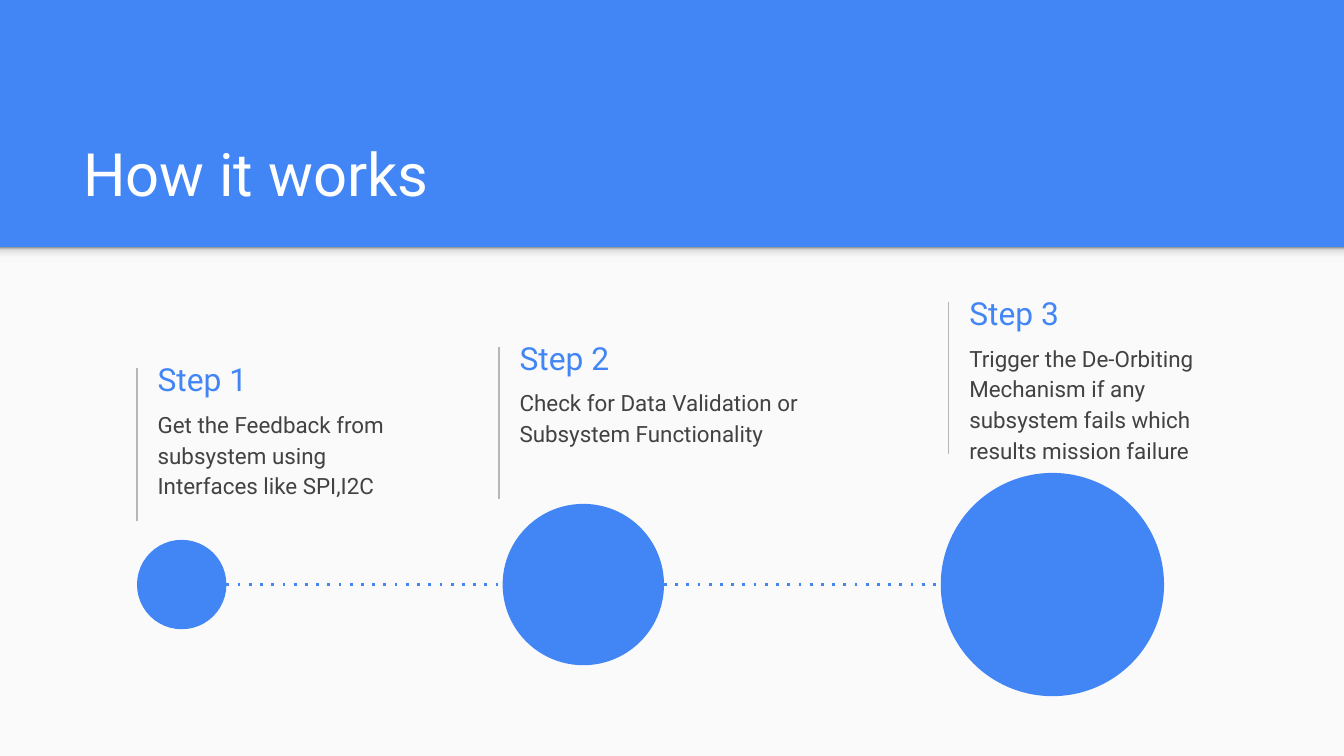
from dataclasses import dataclass

from lxml import etree
from pptx import Presentation
from pptx.dml.color import RGBColor
from pptx.enum.shapes import MSO_CONNECTOR, MSO_SHAPE
from pptx.enum.text import MSO_ANCHOR, MSO_AUTO_SIZE, PP_ALIGN
from pptx.oxml.ns import qn
from pptx.util import Cm, Pt

RECTANGLE, OVAL = MSO_SHAPE.RECTANGLE, MSO_SHAPE.OVAL
STRAIGHT = MSO_CONNECTOR.STRAIGHT
TOP, MIDDLE, BOTTOM = MSO_ANCHOR.TOP, MSO_ANCHOR.MIDDLE, MSO_ANCHOR.BOTTOM
LEFT = PP_ALIGN.LEFT
NO_AUTOFIT = MSO_AUTO_SIZE.NONE
TITLE_ONLY = 5

SLIDE_WIDTH, SLIDE_HEIGHT = 25.4, 14.29
PANEL_TOP = 4.67
RULE_LENGTH = 2.88
HEADING_WIDTH = 5.03
TIMELINE_Y = 11.05


@dataclass(frozen=True)
class Theme:
    font: str = "Roboto"
    accent: str = "4285F4"
    panel: str = "FAFAFA"
    title: str = "FFFFFF"
    body: str = "424242"
    rule: str = "B7B7B7"
    shadow_stops: tuple = ((0, "F9F9F9"), (36, "F9F9F9"), (80, "DEDEDE"), (100, "999999"))
    title_size: float = 32
    heading_size: float = 17
    body_size: float = 12


@dataclass(frozen=True)
class Step:
    heading: str
    description: str
    rule_x: float
    rule_top: float
    description_width: float
    circle_left: float
    diameter: float


STEPS = (
    Step("Step 1", "Get the Feedback from subsystem using Interfaces like SPI,I2C",
         2.59, 6.96, 5.03, 2.59, 1.69),
    Step("Step 2", "Check for Data Validation or Subsystem Functionality",
         9.43, 6.55, 6.17, 9.5, 3.05),
    Step("Step 3", "Trigger the De-Orbiting Mechanism if any subsystem fails which "
         "results mission failure", 17.93, 5.71, 5.89, 17.78, 4.22),
)


class SlideBuilder:
    def __init__(self, slide, theme):
        self.slide = slide
        self.theme = theme

    def background(self, color):
        fill = self.slide.background.fill
        fill.solid()
        fill.fore_color.rgb = RGBColor.from_string(color)

    def shape(self, kind, left, top, width, height, color):
        shape = self.slide.shapes.add_shape(kind, Cm(left), Cm(top), Cm(width), Cm(height))
        shape.shadow.inherit = False
        shape.fill.solid()
        shape.fill.fore_color.rgb = RGBColor.from_string(color)
        shape.line.fill.background()
        return shape

    def panel_shadow(self, top, height):
        """Draw a strip that fades downwards from its dark top edge."""
        strip = self.shape(RECTANGLE, 0, top, SLIDE_WIDTH, height, self.theme.panel)
        strip.fill.gradient()
        strip.fill.gradient_angle = 90
        stops = next(strip.element.iter(qn("a:gsLst")))
        stops.clear()
        for percent, color in self.theme.shadow_stops:
            stop = etree.SubElement(stops, qn("a:gs"), pos=str(percent * 1000))
            etree.SubElement(stop, qn("a:srgbClr"), val=color)

    def line(self, start, end, color, weight, dash=None):
        connector = self.slide.shapes.add_connector(STRAIGHT, *map(Cm, start + end))
        connector.line.color.rgb = RGBColor.from_string(color)
        connector.line.width = Pt(weight)
        properties = connector.element.spPr
        if dash:
            etree.SubElement(properties.find(qn("a:ln")), qn("a:prstDash"), val=dash)
        etree.SubElement(properties, qn("a:effectLst"))

    def set_text(self, holder, text, size, color, anchor, spacing=1.0):
        frame = holder.text_frame
        frame.text = text
        frame.word_wrap = True
        frame.auto_size = NO_AUTOFIT
        frame.vertical_anchor = anchor
        frame.margin_left = frame.margin_right = Cm(0.25)
        frame.margin_top = frame.margin_bottom = Cm(0.25)
        paragraph = frame.paragraphs[0]
        paragraph.alignment = LEFT
        paragraph.line_spacing = spacing
        font = paragraph.runs[0].font
        font.name = self.theme.font
        font.size = Pt(size)
        font.color.rgb = RGBColor.from_string(color)

    def title(self, text, left, top, width, height):
        title = self.slide.shapes.title
        title.left, title.top, title.width, title.height = map(Cm, (left, top, width, height))
        self.set_text(title, text, self.theme.title_size, self.theme.title, BOTTOM)

    def text(self, text, left, top, width, height, *style):
        box = self.slide.shapes.add_textbox(Cm(left), Cm(top), Cm(width), Cm(height))
        self.set_text(box, text, *style)

    def step(self, step):
        theme = self.theme
        x, top = step.rule_x, step.rule_top
        text_left = x + 0.14
        self.line((x, top), (x, top + RULE_LENGTH), theme.rule, 0.75)
        self.text(step.heading, text_left, top - 0.34, HEADING_WIDTH, 1.09,
                  theme.heading_size, theme.accent, MIDDLE)
        self.text(step.description, text_left, top + 0.48, step.description_width, 1.6,
                  theme.body_size, theme.body, TOP, 1.15)

    def timeline(self, steps):
        first, last = steps[0], steps[-1]
        self.line((first.circle_left + first.diameter, TIMELINE_Y),
                  (last.circle_left, TIMELINE_Y), self.theme.accent, 1.5, "dot")
        for step in steps:
            self.shape(OVAL, step.circle_left, TIMELINE_Y - step.diameter / 2,
                       step.diameter, step.diameter, self.theme.accent)


def main():
    presentation = Presentation()
    presentation.slide_width = Cm(SLIDE_WIDTH)
    presentation.slide_height = Cm(SLIDE_HEIGHT)
    slide = presentation.slides.add_slide(presentation.slide_layouts[TITLE_ONLY])
    theme = Theme()
    builder = SlideBuilder(slide, theme)

    builder.background(theme.accent)
    builder.shape(RECTANGLE, 0, PANEL_TOP, SLIDE_WIDTH, SLIDE_HEIGHT - PANEL_TOP, theme.panel)
    builder.panel_shadow(PANEL_TOP, 0.3)
    builder.title("How it works", 1.32, 2.06, 22.83, 2.13)
    for step in STEPS:
        builder.step(step)
    builder.timeline(STEPS)

    presentation.save("out.pptx")


if __name__ == "__main__":
    main()
